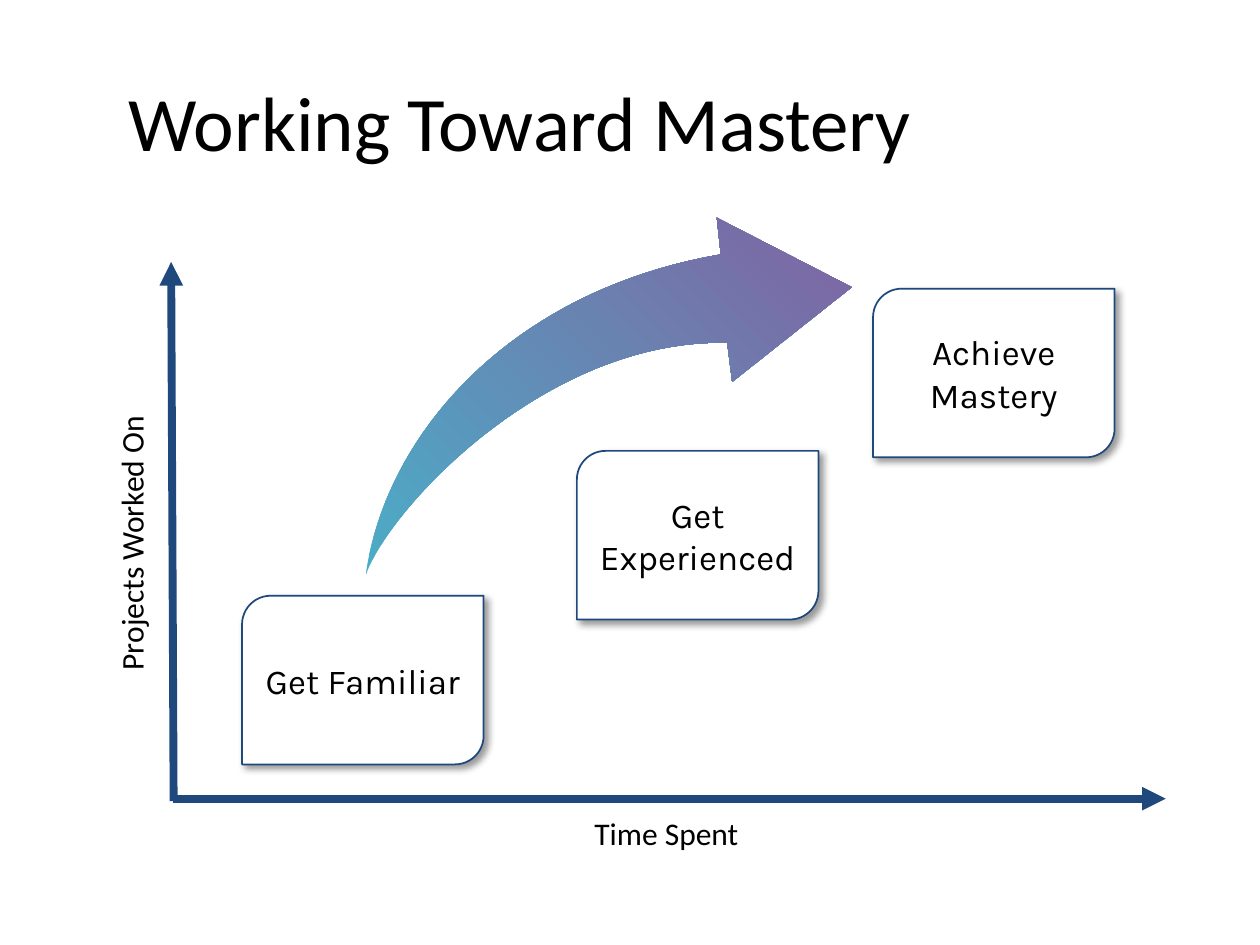
from typing import NamedTuple

from lxml import etree
from pptx import Presentation
from pptx import util as u
from pptx.dml.color import RGBColor
from pptx.enum import shapes, text
from pptx.oxml.ns import qn

NAVY, BLACK, WHITE = "1F497D", "000000", "FFFFFF"
TEAL, PURPLE = "4BACC6", "8064A2"


class Point(NamedTuple):
    x: float
    y: float


class Box(NamedTuple):
    left: float
    top: float
    width: float
    height: float


class Axis(NamedTuple):
    start: Point
    end: Point


class Label(NamedTuple):
    words: str
    box: Box
    size: int = 18
    align: text.PP_ALIGN = text.PP_ALIGN.CENTER
    anchor: text.MSO_ANCHOR = text.MSO_ANCHOR.TOP
    rotation: int = 0


class Card(NamedTuple):
    words: str
    corner: Point


# All lengths are in centimetres
CARD_WIDTH, CARD_HEIGHT = 4.87, 3.4
AXES = [
    Axis(Point(3.48, 16.1), Point(23.5, 16.1)),
    Axis(Point(3.5, 16.15), Point(3.45, 5.28)),
]
LABELS = [
    Label("Working Toward Mastery", Box(2.34, 0.84, 22.43, 3.18), 44,
          text.PP_ALIGN.LEFT, text.MSO_ANCHOR.MIDDLE),
    Label("Time Spent", Box(4.01, 16.28, 18.85, 1.02)),
    Label("Projects Worked On", Box(-2.51, 10.44, 10.31, 1.02), rotation=270),
]
CARDS = [
    Card("Get Familiar", Point(4.88, 12.01)),
    Card("Get Experienced", Point(11.63, 9.09)),
    Card("Achieve Mastery", Point(17.6, 5.82)),
]
# Growth arrow: outer curve, arrowhead, inner curve
OUTER_CURVE = [Point(7.37, 11.61), Point(7.75, 8.81), Point(10.24, 5.87), Point(14.53, 5.13)]
ARROWHEAD = [Point(14.45, 4.39), Point(17.17, 5.79), Point(14.76, 7.7)]
INNER_CURVE = [Point(14.66, 6.91), Point(10.97, 6.83), Point(7.8, 10.31), Point(7.37, 11.61)]


def color(value: str) -> RGBColor:
    return RGBColor.from_string(value)


def lengths(*values: float) -> list:
    return [u.Cm(value) for value in values]


def write(shape, words: str, *, size: int, font: str = "Calibri", align=text.PP_ALIGN.CENTER,
          anchor=text.MSO_ANCHOR.TOP, margin: float | None = None) -> None:
    frame = shape.text_frame
    frame.word_wrap = True
    frame.vertical_anchor = anchor
    if margin is not None:
        frame.margin_left = frame.margin_right = u.Cm(margin)
        frame.margin_top = frame.margin_bottom = u.Cm(margin)
    paragraph = frame.paragraphs[0]
    paragraph.alignment = align
    run = paragraph.add_run()
    run.text = words
    run.font.name, run.font.size = font, u.Pt(size)
    run.font.color.rgb = color(BLACK)


def draw_axis(slide, axis: Axis) -> None:
    connector = slide.shapes.add_connector(
        shapes.MSO_CONNECTOR.STRAIGHT, *lengths(*axis.start, *axis.end))
    connector.line.width = u.Pt(4.5)
    connector.line.color.rgb = color(NAVY)
    etree.SubElement(connector.line._get_or_add_ln(), qn("a:tailEnd"), type="triangle")
    etree.SubElement(connector._element.spPr, qn("a:effectLst"))


def draw_label(slide, label: Label) -> None:
    shape = slide.shapes.add_textbox(*lengths(*label.box))
    shape.rotation = label.rotation
    write(shape, label.words, size=label.size, align=label.align, anchor=label.anchor)


def add_soft_shadow(shape) -> None:
    shape.shadow.inherit = False
    effects = shape._element.spPr.find(qn("a:effectLst"))
    shadow = etree.SubElement(
        effects, qn("a:outerShdw"), blurRad=str(u.Pt(4)), dist=str(u.Pt(3)),
        dir=str(45 * 60000), algn="tl", rotWithShape="0")
    tone = etree.SubElement(shadow, qn("a:srgbClr"), val=BLACK)
    etree.SubElement(tone, qn("a:alpha"), val="40000")


def draw_card(slide, card: Card) -> None:
    shape = slide.shapes.add_shape(
        shapes.MSO_SHAPE.ROUND_2_DIAG_RECTANGLE,
        *lengths(*card.corner, CARD_WIDTH, CARD_HEIGHT))
    shape.adjustments[0], shape.adjustments[1] = 0.17, 0
    shape.fill.solid()
    shape.fill.fore_color.rgb = color(WHITE)
    shape.line.color.rgb = color(NAVY)
    shape.line.width = u.Pt(1)
    add_soft_shadow(shape)
    write(shape, card.words, size=20, font="Karla", anchor=text.MSO_ANCHOR.MIDDLE, margin=0.13)


def curve_points(controls: list[Point], steps: int = 40) -> list[Point]:
    """Points along a cubic Bezier curve."""
    points = []
    for step in range(steps + 1):
        t = step / steps
        weights = ((1 - t) ** 3, 3 * t * (1 - t) ** 2, 3 * t ** 2 * (1 - t), t ** 3)
        points.append(Point(sum(w * c.x for w, c in zip(weights, controls)),
                            sum(w * c.y for w, c in zip(weights, controls))))
    return points


def draw_growth_arrow(slide) -> None:
    outline = curve_points(OUTER_CURVE) + ARROWHEAD + curve_points(INNER_CURVE)
    start, *rest = [tuple(lengths(*point)) for point in outline]
    builder = slide.shapes.build_freeform(*start)
    builder.add_line_segments(rest, close=True)
    shape = builder.convert_to_shape()
    shape.shadow.inherit = False
    shape.line.fill.background()
    shape.fill.gradient()
    shape.fill.gradient_angle = 45
    for stop, position, value in zip(shape.fill.gradient_stops, (0, 1), (TEAL, PURPLE)):
        stop.position = position
        stop.color.rgb = color(value)


def main() -> None:
    presentation = Presentation()
    presentation.slide_width, presentation.slide_height = lengths(25.4, 19.05)
    slide = presentation.slides.add_slide(presentation.slide_layouts[6])

    # Axes, title and axis names
    for axis in AXES:
        draw_axis(slide, axis)
    for label in LABELS:
        draw_label(slide, label)

    # Stages and the arrow above them
    for card in CARDS:
        draw_card(slide, card)
    draw_growth_arrow(slide)

    presentation.save("out.pptx")


if __name__ == "__main__":
    main()
